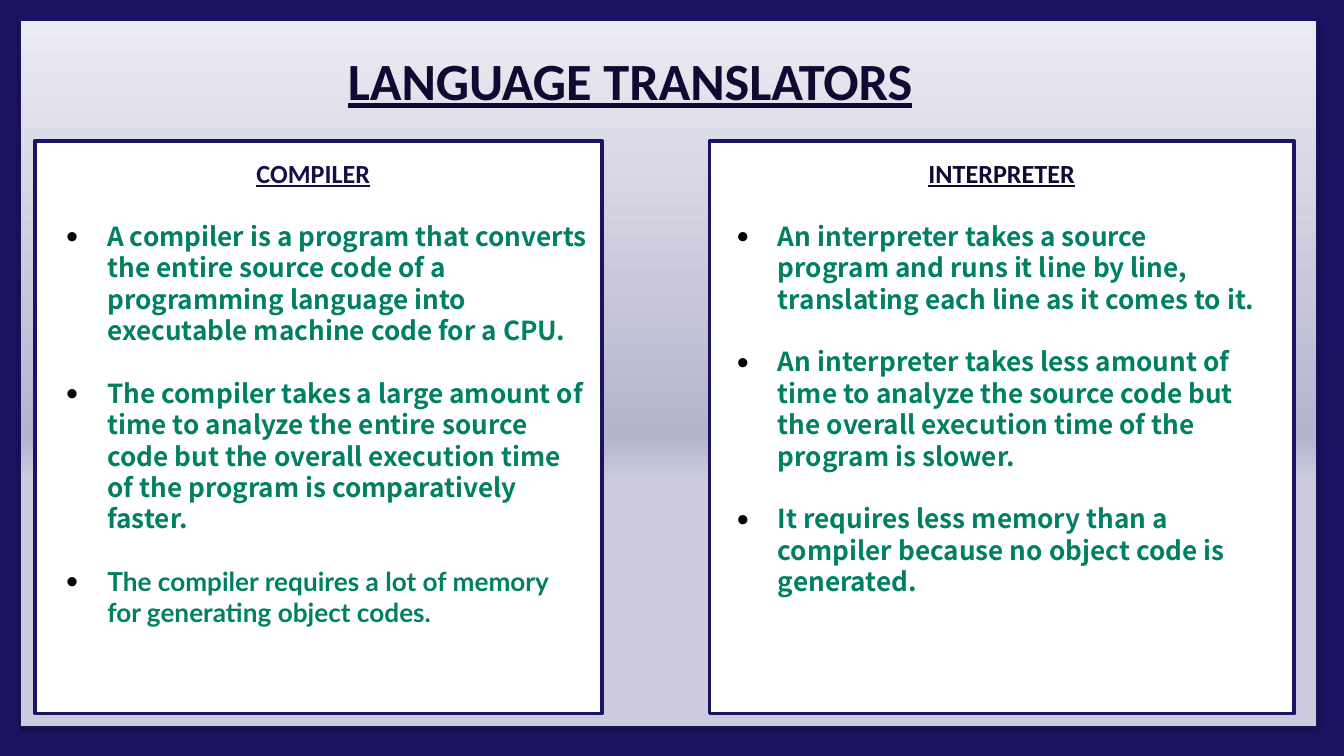
from dataclasses import dataclass

from pptx import Presentation
from pptx.dml.color import RGBColor
from pptx.enum.shapes import MSO_SHAPE
from pptx.oxml import parse_xml
from pptx.oxml.ns import nsdecls
from pptx.util import Inches, Pt

RECT = MSO_SHAPE.RECTANGLE


@dataclass(frozen=True)
class Theme:
    navy: str = "1B1464"
    edge: str = "191264"
    ink: str = "0E0A32"
    deep: str = "140F4B"
    green: str = "008062"
    white: str = "FFFFFF"
    black: str = "000000"
    # Panel shading from top to bottom: percent, colour
    shade: tuple = ((0, "EBEBF2"), (59, "B5B4CF"), (65, "CBCBDD"))
    head: str = "Calibri"
    body: str = "Noto Sans CJK JP"
    alt: str = "Lato"
    big: float = 28
    small: float = 14
    pitch: float = 16.8


@dataclass(frozen=True)
class Box:
    left: float
    top: float
    width: float
    height: float

    def inches(self) -> tuple:
        return tuple(Inches(v) for v in (self.left, self.top, self.width, self.height))


@dataclass(frozen=True)
class Point:
    text: str
    font: str


@dataclass(frozen=True)
class Card:
    frame: Box
    title: str
    color: str
    head: Box
    list: Box
    points: tuple


THEME = Theme()

CARDS = (
    Card(Box(0.26, 1.05, 4.22, 4.26), "COMPILER", THEME.deep,
         Box(1.81, 1.12, 2.44, 0.34), Box(0.39, 1.59, 4.08, 3.64), (
             Point("A compiler is a program that converts the entire source code of a "
                   "programming language into executable machine code for a CPU.", THEME.body),
             Point("The compiler takes a large amount of time to analyze the entire source "
                   "code but the overall execution time of the program is comparatively "
                   "faster.", THEME.body),
             Point("The compiler requires a lot of memory for generating object codes.",
                   THEME.alt))),
    Card(Box(5.28, 1.05, 4.35, 4.26), "INTERPRETER", THEME.ink,
         Box(6.81, 1.12, 2.13, 0.34), Box(5.38, 1.59, 4.08, 3.16), (
             Point("An interpreter takes a source program and runs it line by line, "
                   "translating each line as it comes to it.", THEME.body),
             Point("An interpreter takes less amount of time to analyze the source code but "
                   "the overall execution time of the program is slower.", THEME.body),
             Point("It requires less memory than a compiler because no object code is "
                   "generated.", THEME.body))),
)


def rgb(color: str) -> RGBColor:
    return RGBColor.from_string(color)


def add_rect(slide, box: Box, line: str, width: float):
    shape = slide.shapes.add_shape(RECT, *box.inches())
    shape.shadow.inherit = False
    shape.fill.solid()
    shape.fill.fore_color.rgb = rgb(THEME.white)
    shape.line.color.rgb = rgb(line)
    shape.line.width = Pt(width)
    return shape


def add_panel(slide, box: Box) -> None:
    props = add_rect(slide, box, THEME.edge, 0.75).element.spPr
    # Vertical gradient in place of the plain fill
    stops = "".join(f'<a:gs pos="{pos * 1000}"><a:srgbClr val="{color}"/></a:gs>'
                    for pos, color in THEME.shade)
    fill = parse_xml(f'<a:gradFill {nsdecls("a")} rotWithShape="1"><a:gsLst>{stops}</a:gsLst>'
                     '<a:lin ang="5400000" scaled="0"/></a:gradFill>')
    props.replace(props.find("{*}solidFill"), fill)
    # Soft shadow below
    glow = parse_xml(f'<a:effectLst {nsdecls("a")}><a:outerShdw blurRad="{Pt(3.1)}" '
                     f'dist="{Pt(1.6)}" dir="5400000" rotWithShape="0">'
                     f'<a:srgbClr val="{THEME.black}"><a:alpha val="38000"/></a:srgbClr>'
                     '</a:outerShdw></a:effectLst>')
    props.replace(props.find("{*}effectLst"), glow)


def add_frame(slide, box: Box):
    frame = slide.shapes.add_textbox(*box.inches()).text_frame
    frame.word_wrap = True
    return frame


def add_run(para, text: str, font: str, size: float, color: str, under: bool = False) -> None:
    run = para.add_run()
    run.text = text
    run.font.name = font
    run.font.size = Pt(size)
    run.font.color.rgb = rgb(color)
    run.font.bold = True
    run.font.underline = under


def add_head(slide, box: Box, text: str, size: float, color: str) -> None:
    para = add_frame(slide, box).paragraphs[0]
    add_run(para, text, THEME.head, size, color, under=True)


def add_bullet(para) -> None:
    props = para._p.get_or_add_pPr()
    props.set("marL", str(Inches(0.31)))
    props.set("indent", str(Inches(-0.31)))
    for part in (f'<a:buClr {nsdecls("a")}><a:srgbClr val="{THEME.black}"/></a:buClr>',
                 f'<a:buFont {nsdecls("a")} typeface="{THEME.head}"/>',
                 f'<a:buChar {nsdecls("a")} char="•"/>'):
        props.append(parse_xml(part))


def add_list(slide, box: Box, points: tuple) -> None:
    frame = add_frame(slide, box)
    for i, point in enumerate(points):
        para = frame.add_paragraph() if i else frame.paragraphs[0]
        para.line_spacing = Pt(THEME.pitch)
        para.space_before = Pt(THEME.pitch if i else 0)
        add_bullet(para)
        add_run(para, point.text, point.font, THEME.small, THEME.green)


def add_card(slide, card: Card) -> None:
    add_rect(slide, card.frame, THEME.navy, 2)
    add_head(slide, card.head, card.title, THEME.small, card.color)
    add_list(slide, card.list, card.points)


def main() -> None:
    deck = Presentation()
    # Widescreen, 16 to 9
    deck.slide_width = Inches(10)
    deck.slide_height = deck.slide_width * 9 // 16
    slide = deck.slides.add_slide(deck.slide_layouts[6])

    # Background and panel
    slide.background.fill.solid()
    slide.background.fill.fore_color.rgb = rgb(THEME.navy)
    add_panel(slide, Box(0.15, 0.15, 9.65, 5.26))

    # Title and the two cards
    add_head(slide, Box(2.49, 0.31, 5.35, 0.57), "LANGUAGE TRANSLATORS", THEME.big, THEME.ink)
    for card in CARDS:
        add_card(slide, card)

    deck.save("out.pptx")


if __name__ == "__main__":
    main()
